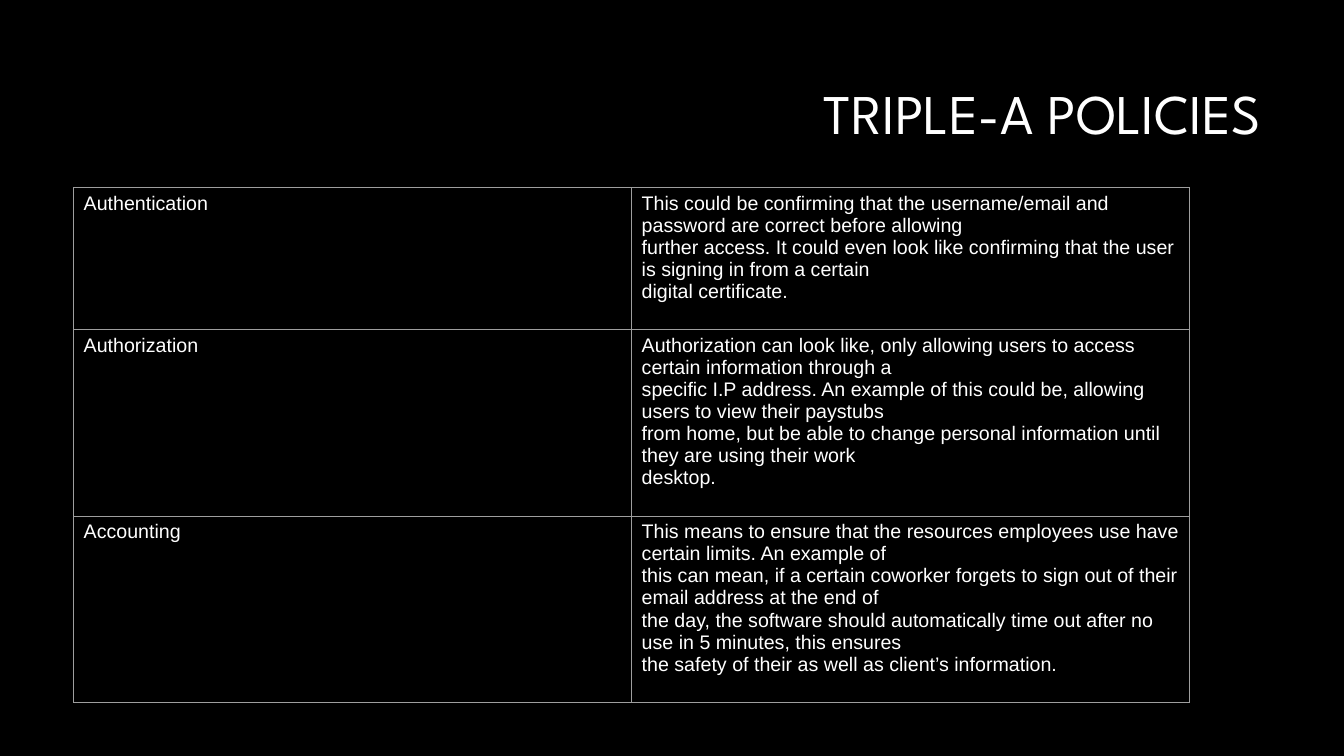
from lxml import etree
from pptx import Presentation
from pptx.dml.color import RGBColor
from pptx.enum import text
from pptx.oxml import ns
from pptx.util import Inches, Pt

BLACK = RGBColor(0x00, 0x00, 0x00)
WHITE = RGBColor(0xFF, 0xFF, 0xFF)
GRAY = RGBColor(0x9E, 0x9E, 0x9E)

ROWS = [
    ("Authentication", 1.41, [
        "This could be confirming that the username/email and password are correct before allowing",
        "further access. It could even look like confirming that the user is signing in from a certain",
        "digital certificate.",
    ]),
    ("Authorization", 1.85, [
        "Authorization can look like, only allowing users to access certain information through a",
        "specific I.P address. An example of this could be, allowing users to view their paystubs",
        "from home, but be able to change personal information until they are using their work",
        "desktop.",
    ]),
    ("Accounting", 1.85, [
        "This means to ensure that the resources employees use have certain limits. An example of",
        "this can mean, if a certain coworker forgets to sign out of their email address at the end of",
        "the day, the software should automatically time out after no use in 5 minutes, this ensures",
        "the safety of their as well as client’s information.",
    ]),
]


class Deck:
    head = "League Spartan"
    body = "Arial"

    def __init__(self):
        self.prs = Presentation()
        self.prs.slide_width = Inches(13.33)
        self.prs.slide_height = Inches(7.5)
        self.slide = self.prs.slides.add_slide(self.prs.slide_layouts[5])
        fill = self.slide.background.fill
        fill.solid()
        fill.fore_color.rgb = BLACK

    def run(self, para, words, face, size):
        run = para.add_run()
        run.text = words
        run.font.name = face
        run.font.size = Pt(size)
        run.font.color.rgb = WHITE

    def title(self, words, x, y, w, h):
        box = self.slide.shapes.title
        box.left, box.top, box.width, box.height = map(Inches, (x, y, w, h))
        frame = box.text_frame
        frame.word_wrap = True
        frame.auto_size = text.MSO_AUTO_SIZE.NONE
        frame.vertical_anchor = text.MSO_ANCHOR.MIDDLE
        para = frame.paragraphs[0]
        para.alignment = text.PP_ALIGN.RIGHT
        para.line_spacing = 0.9
        self.run(para, words, self.head, 40)

    def border(self, cell):
        props = cell._tc.get_or_add_tcPr()
        for spot, side in enumerate(("lnL", "lnR", "lnT", "lnB")):
            line = etree.Element(ns.qn(f"a:{side}"), w=str(Pt(0.75)))
            fill = etree.SubElement(line, ns.qn("a:solidFill"))
            etree.SubElement(fill, ns.qn("a:srgbClr"), val=str(GRAY))
            props.insert(spot, line)

    def cell(self, cell, lines):
        cell.fill.solid()
        cell.fill.fore_color.rgb = BLACK
        self.border(cell)
        frame = cell.text_frame
        for num, words in enumerate(lines):
            para = frame.add_paragraph() if num else frame.paragraphs[0]
            self.run(para, words, self.body, 14)

    def table(self, rows, x, y, width):
        high = sum(row[1] for row in rows)
        frame = self.slide.shapes.add_table(
            len(rows), 2, Inches(x), Inches(y), Inches(width), Inches(high))
        grid = frame.table
        grid.first_row = grid.horz_banding = False
        for num, (term, tall, lines) in enumerate(rows):
            grid.rows[num].height = Inches(tall)
            self.cell(grid.cell(num, 0), [term])
            self.cell(grid.cell(num, 1), lines)


def main():
    deck = Deck()
    deck.title("TRIPLE-A POLICIES", 3.19, 0.45, 9.42, 1.41)
    deck.table(ROWS, 0.73, 1.86, 11.07)
    deck.prs.save("out.pptx")


if __name__ == "__main__":
    main()
